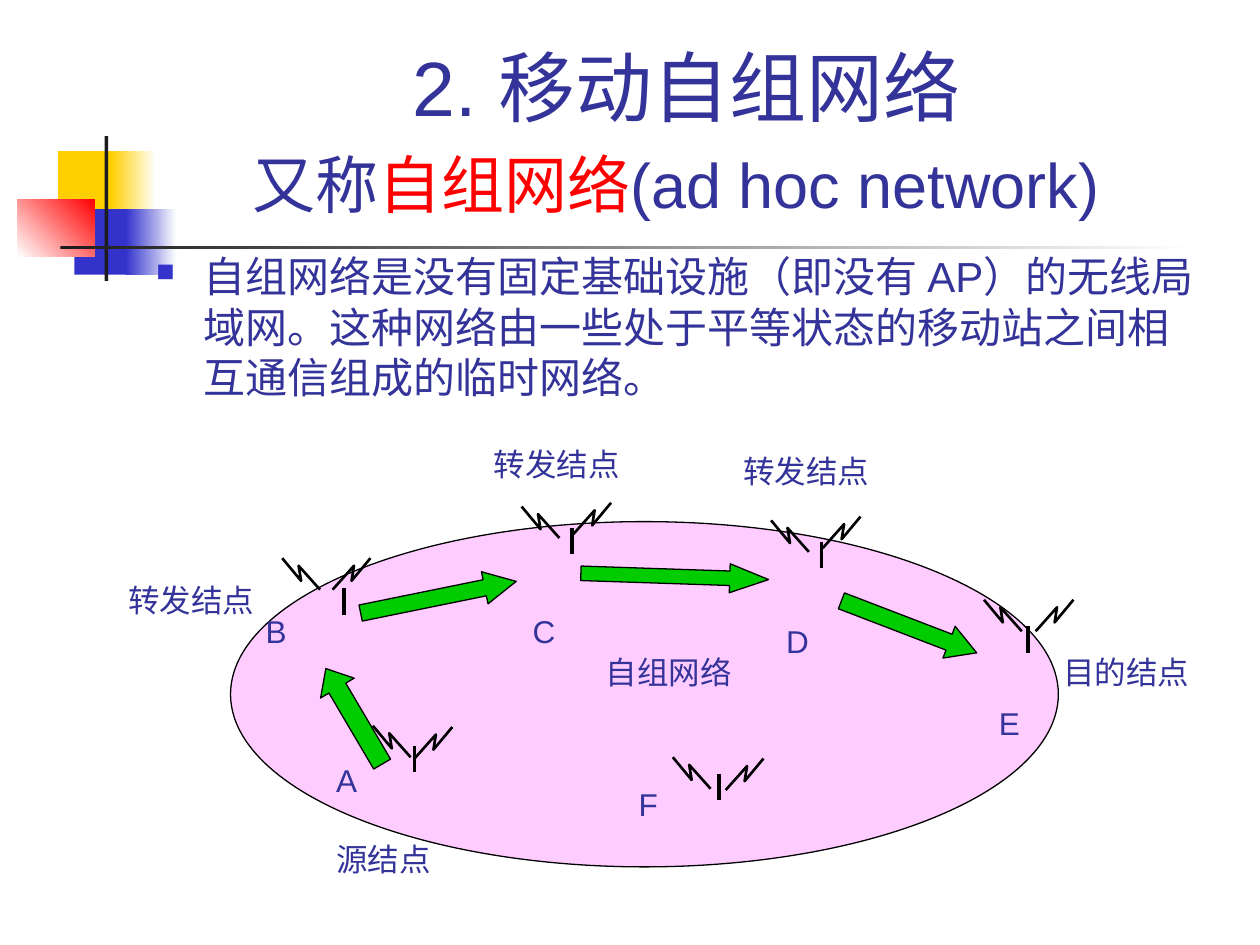
from dataclasses import dataclass

from lxml.etree import SubElement
from pptx import Presentation
from pptx.dml.color import RGBColor
from pptx.enum.shapes import MSO_CONNECTOR, MSO_SHAPE
from pptx.enum.text import MSO_ANCHOR, MSO_AUTO_SIZE, PP_ALIGN
from pptx.oxml.ns import qn
from pptx.util import Inches, Pt


@dataclass(frozen=True)
class Theme:
    """Colours, font and type sizes of the slide."""
    font: str = "Arial"
    ink: str = "333399"
    accent: str = "FF0000"
    yellow: str = "FFCF01"
    blue: str = "3333CC"
    charcoal: str = "1C1C1C"
    paper: str = "FFFFFF"
    cloud: str = "FFCCFF"
    route: str = "00CC00"
    outline: str = "000000"
    title: int = 44
    subtitle: int = 36
    body: int = 24
    label: int = 18


def rgb(value):
    """Turn a hex string into a colour."""
    return RGBColor.from_string(value)


class SlideBuilder:
    """Draws styled elements on the current slide."""

    def __init__(self, theme, slide):
        self.theme = theme
        self.slide = slide

    def place(self, element, box):
        """Set the position and size of an element."""
        for name, value in zip(("left", "top", "width", "height"), box):
            setattr(element, name, Inches(value))

    def add_text(self, paragraph, text, size, color=None):
        """Add a formatted run to a paragraph."""
        run = paragraph.add_run()
        run.text = text
        for name, value in {"name": self.theme.font, "size": Pt(size)}.items():
            setattr(run.font, name, value)
        run.font.color.rgb = rgb(color or self.theme.ink)

    def title(self, box, lines):
        """Fill the title placeholder with lines of (text, size, color) runs."""
        heading = self.slide.shapes.title
        self.place(heading, box)
        frame = heading.text_frame
        settings = {"vertical_anchor": MSO_ANCHOR.BOTTOM, "word_wrap": True,
                    "auto_size": MSO_AUTO_SIZE.NONE}
        for name, value in settings.items():
            setattr(frame, name, value)
        paragraph = frame.paragraphs[0]
        paragraph.alignment = PP_ALIGN.CENTER
        for index, runs in enumerate(lines):
            if index:
                paragraph.add_line_break()
            for run in runs:
                self.add_text(paragraph, *run)

    def label(self, text, left, top, width, height=0.43):
        """Add a one-line label."""
        frame = self.slide.shapes.add_textbox(
            *map(Inches, (left, top, width, height))).text_frame
        settings = {"word_wrap": False, "auto_size": MSO_AUTO_SIZE.SHAPE_TO_FIT_TEXT}
        for name, value in settings.items():
            setattr(frame, name, value)
        self.add_text(frame.paragraphs[0], text, self.theme.label)

    def bullet(self, text, box, indent=0.38):
        """Add a wrapped paragraph with a square bullet."""
        frame = self.slide.shapes.add_textbox(*map(Inches, box)).text_frame
        frame.word_wrap = True
        paragraph = frame.paragraphs[0]
        properties = paragraph._p.get_or_add_pPr()
        properties.set("marL", str(Inches(indent)))
        properties.set("indent", str(-Inches(indent)))
        bullet_color = SubElement(properties, qn("a:buClr"))
        SubElement(bullet_color, qn("a:srgbClr"), val=self.theme.blue)
        SubElement(properties, qn("a:buSzPct"), val="60000")
        SubElement(properties, qn("a:buChar"), char="■")
        self.add_text(paragraph, text, self.theme.body)

    def shape(self, kind, box, fill, outlined=False):
        """Add a preset shape with a solid fill."""
        element = self.slide.shapes.add_shape(kind, *map(Inches, box))
        element.shadow.inherit = False
        element.fill.solid()
        element.fill.fore_color.rgb = rgb(fill)
        if outlined:
            self.stroke(element.line, 0.75)
        else:
            element.line.fill.background()
        return element

    def fade(self, box, start, end, angle=0):
        """Add a borderless rectangle with a two-colour gradient."""
        fill = self.shape(MSO_SHAPE.RECTANGLE, box, start).fill
        fill.gradient()
        fill.gradient_angle = angle
        for stop, color, position in zip(fill.gradient_stops, (start, end), (0, 1)):
            stop.color.rgb = rgb(color)
            stop.position = position

    def stroke(self, line, width):
        """Format an outline."""
        line.color.rgb = rgb(self.theme.outline)
        line.width = Pt(width)

    def arrow(self, box, rotation, head):
        """Add a rotated route arrow."""
        route = self.shape(MSO_SHAPE.RIGHT_ARROW, box, self.theme.route, outlined=True)
        route.rotation = rotation
        route.adjustments[0] = 0.5
        route.adjustments[1] = head

    def spark(self, x, y, direction):
        """Add a zigzag signal that rises to the right (1) or left (-1)."""
        zigzag = ((0.17, -0.19), (0.15, -0.07), (0.3, -0.25))
        builder = self.slide.shapes.build_freeform(Inches(x), Inches(y))
        builder.add_line_segments(
            [(Inches(x + direction * dx), Inches(y + dy)) for dx, dy in zigzag],
            close=False)
        signal = builder.convert_to_shape()
        signal.shadow.inherit = False
        signal.fill.background()
        self.stroke(signal.line, 1.5)

    def antenna(self, mast, left_spark, right_spark, height=0.21):
        """Add a mast with a signal on each side."""
        x, y = mast
        pole = self.slide.shapes.add_connector(
            MSO_CONNECTOR.STRAIGHT, *map(Inches, (x, y, x, y + height)))
        self.stroke(pole.line, 2.25)
        SubElement(pole._element.spPr, qn("a:effectLst"))
        self.spark(*left_spark, -1)
        self.spark(*right_spark, 1)


def main():
    """Build the slide and save it."""
    theme = Theme()
    deck = Presentation()
    deck.slide_width, deck.slide_height = Inches(10), Inches(7.5)
    page = SlideBuilder(theme, deck.slides.add_slide(deck.slide_layouts[5]))

    page.shape(MSO_SHAPE.RECTANGLE, (0.46, 1.2, 0.48, 0.52), theme.yellow)
    page.fade((0.88, 1.2, 0.36, 0.52), theme.yellow, theme.paper)
    page.shape(MSO_SHAPE.RECTANGLE, (0.59, 1.66, 0.46, 0.52), theme.blue)
    page.fade((1, 1.66, 0.4, 0.52), theme.blue, theme.paper)
    page.fade((0.14, 1.58, 0.61, 0.46), theme.paper, theme.accent, angle=45)
    page.shape(MSO_SHAPE.RECTANGLE, (0.83, 1.08, 0.03, 1.15), theme.charcoal)
    page.fade((0.48, 1.95, 9, 0.03), theme.charcoal, theme.paper)

    page.title((1.01, 0.23, 8.88, 1.6), [
        [("2. 移动自组网络", theme.title)],
        [("又称", theme.subtitle), ("自组网络", theme.subtitle, theme.accent),
         ("(ad hoc network)", theme.subtitle), (" ", theme.title)]])

    page.shape(MSO_SHAPE.OVAL, (1.83, 4.14, 6.57, 2.74), theme.cloud, outlined=True)

    antennas = [
        ((3.29, 5.92), (3.26, 6.01), (3.29, 6.02)),
        ((2.73, 4.67), (2.54, 4.68), (2.64, 4.68)),
        ((4.54, 4.19), (4.44, 4.27), (4.55, 4.24)),
        ((6.52, 4.3), (6.42, 4.38), (6.53, 4.35)),
        ((8.16, 4.97), (8.11, 5.01), (8.22, 5.01)),
        ((5.71, 6.14), (5.64, 6.26), (5.76, 6.27))]
    for antenna in antennas:
        page.antenna(*antenna)

    routes = [
        ((2.37, 5.53, 0.88, 0.31), 239.5, 0.58),
        ((2.85, 4.61, 1.26, 0.26), 348.5, 0.98),
        ((4.61, 4.46, 1.49, 0.23), 1.9, 1.34),
        ((6.64, 4.84, 1.15, 0.27), 21, 0.87)]
    for route in routes:
        page.arrow(*route)

    labels = [
        ("A", 2.57, 5.99, 0.39), ("B", 2.01, 4.81, 0.39), ("C", 4.13, 4.81, 0.4),
        ("D", 6.14, 4.89, 0.4), ("E", 7.83, 5.54, 0.39), ("F", 4.97, 6.18, 0.37),
        ("自组网络", 4.71, 5.13, 1.31), ("源结点", 2.57, 6.62, 1.04),
        ("目的结点", 8.34, 5.13, 1.31), ("转发结点", 0.92, 4.56, 1.31),
        ("转发结点", 3.82, 3.48, 1.31), ("转发结点", 5.8, 3.54, 1.31)]
    for label in labels:
        page.label(*label)

    page.bullet("自组网络是没有固定基础设施（即没有 AP）的无线局域网。"
                "这种网络由一些处于平等状态的移动站之间相互通信组成的临时网络。",
                (1.14, 1.94, 8.5, 1.42))
    deck.save("out.pptx")


if __name__ == "__main__":
    main()
